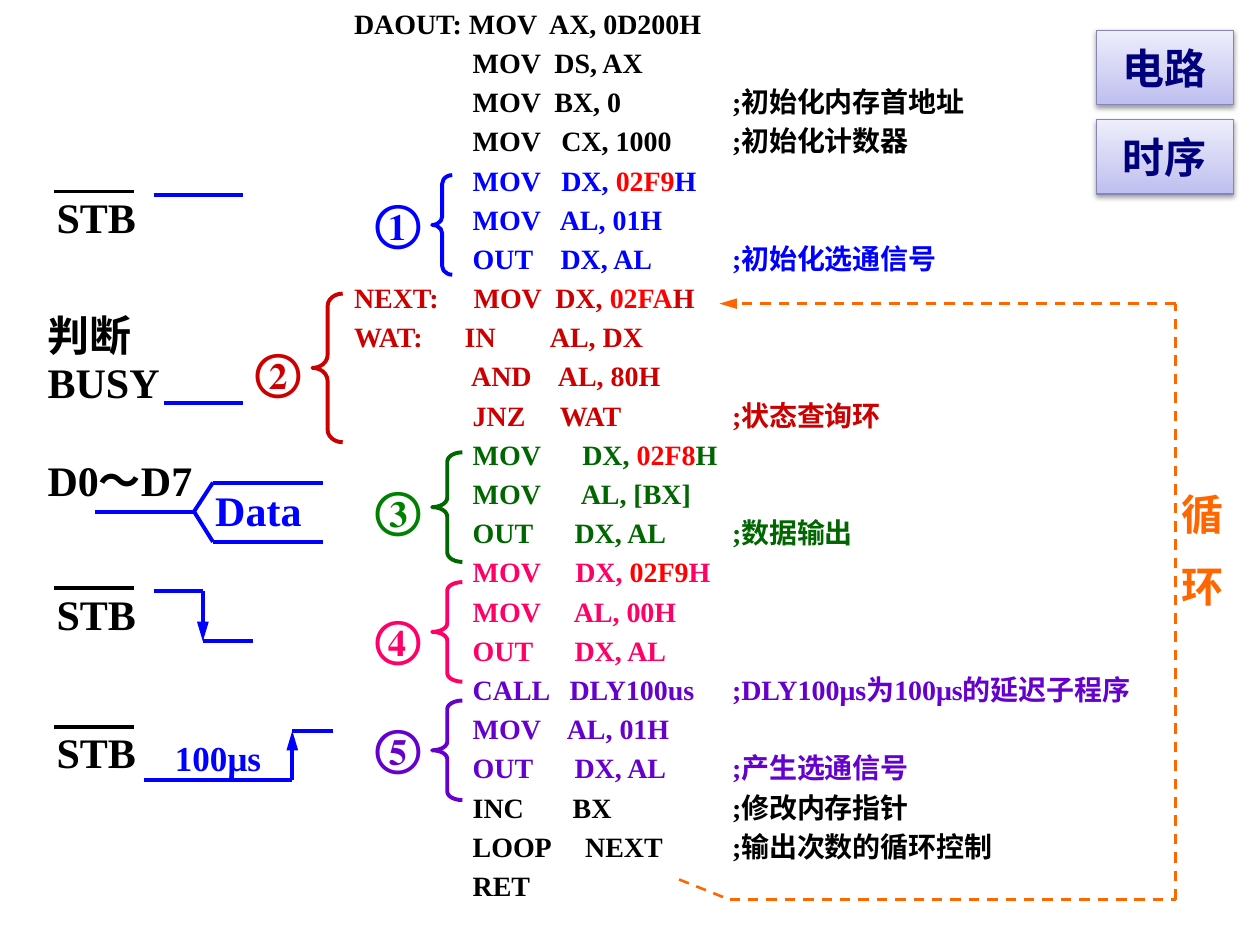
from lxml import etree
from pptx import Presentation
from pptx.dml.color import RGBColor
from pptx.enum.dml import MSO_LINE
from pptx.enum.shapes import MSO_CONNECTOR, MSO_SHAPE
from pptx.enum.text import MSO_ANCHOR, MSO_AUTO_SIZE, PP_ALIGN
from pptx.oxml.ns import qn
from pptx.util import Inches, Pt

LINE, DASH = MSO_CONNECTOR.STRAIGHT, MSO_LINE.DASH
BRACE, BUTTON = MSO_SHAPE.LEFT_BRACE, MSO_SHAPE.ACTION_BUTTON_CUSTOM
LEFT, MID = PP_ALIGN.LEFT, PP_ALIGN.CENTER
FONT = "Times New Roman"
PAD = " " * 17
INK = {
    "black": "000000", "blue": "0000FF", "red": "FF0000", "brick": "CC0000",
    "green": "006600", "moss": "008000", "pink": "FF0066", "plum": "6600CC",
    "orange": "FF6600", "navy": "00007D", "edge": "8686B6",
    "low": "BFBFF0", "high": "EDEDFB",
}
CODE = [
    ("black", ["DAOUT: MOV  AX, 0D200H", PAD + "MOV  DS, AX",
               PAD + "MOV  BX, 0\t;初始化内存首地址",
               PAD + "MOV   CX, 1000\t;初始化计数器"]),
    ("blue", [PAD + "MOV   DX, |02F9|H", PAD + "MOV   AL, 01H",
              PAD + "OUT    DX, AL\t;初始化选通信号"]),
    ("brick", ["NEXT:     MOV  DX, |02FA|H", "WAT:      IN        AL, DX",
               PAD + "AND    AL, 80H", PAD + "JNZ     WAT\t;状态查询环"]),
    ("green", [PAD + "MOV      DX, |02F8|H", PAD + "MOV      AL, [BX]",
               PAD + "OUT      DX, AL\t;数据输出"]),
    ("pink", [PAD + "MOV     DX, |02F9|H", PAD + "MOV     AL, 00H",
              PAD + "OUT      DX, AL"]),
    ("plum", [PAD + "CALL   DLY100us\t;DLY100μs为100μs的延迟子程序",
              PAD + "MOV    AL, 01H", PAD + "OUT      DX, AL\t;产生选通信号"]),
    ("black", [PAD + "INC       BX\t;修改内存指针",
               PAD + "LOOP     NEXT\t;输出次数的循环控制", PAD + "RET"]),
]
STEPS = [
    ("①", (3.43, 1.39, 0.16, 0.79), 0.42, 1.47, "blue", "blue"),
    ("②", (2.48, 2.33, 0.24, 1.18), 0.42, 2.65, "brick", "brick"),
    ("③", (3.43, 3.59, 0.24, 0.87), 0.31, 3.75, "green", "moss"),
    ("④", (3.43, 4.62, 0.24, 0.79), 0.28, 4.77, "pink", "pink"),
    ("⑤", (3.43, 5.56, 0.24, 0.79), 0.28, 5.64, "plum", "plum"),
]
STROBES = [
    (1.47, [(0.87, 0.08), (1.58, 0.08)], None),
    (4.62, [(0.87, 0.07), (1.26, 0.07), (1.26, 0.47), (1.66, 0.47)], 1),
    (5.72, [(0.79, 0.47), (1.97, 0.47), (1.97, 0.08), (2.29, 0.08)], 1),
]


def rgb(ink):
    """Return the named colour."""
    return RGBColor.from_string(INK[ink])


def style(para, size, ink=None, align=LEFT):
    """Set the bold serif face of one paragraph."""
    para.alignment = align
    font = para.font
    font.name, font.size, font.bold = FONT, Pt(size), True
    if ink:
        font.color.rgb = rgb(ink)


def label(slide, box, text, size, ink, align=LEFT):
    """Place a text box with one paragraph per line of text."""
    frame = slide.shapes.add_textbox(*map(Inches, box)).text_frame
    frame.word_wrap = True
    frame.text = text
    for row, para in enumerate(frame.paragraphs):
        style(para, size, ink, align)
        if row:
            para.space_before = Pt(size / 2)


def trace(slide, spot, points, ink="blue", width=2.25, dash=None, arrow=None):
    """Join points offset from a spot, with an arrowhead on one segment."""
    spots = [(Inches(spot[0] + x), Inches(spot[1] + y)) for x, y in points]
    for num, (start, end) in enumerate(zip(spots, spots[1:])):
        wire = slide.shapes.add_connector(LINE, *start, *end)
        wire.line.color.rgb = rgb(ink)
        wire.line.width = Pt(width)
        if dash:
            wire.line.dash_style = dash
        props = wire._element.spPr
        if num == arrow:
            etree.SubElement(props.find(qn("a:ln")), qn("a:tailEnd"),
                             type="triangle", len="lg")
        etree.SubElement(props, qn("a:effectLst"))


def listing(slide, box):
    """Fill the body placeholder with the coloured program."""
    body = slide.placeholders[1]
    body.left, body.top, body.width, body.height = map(Inches, box)
    frame = body.text_frame
    frame.auto_size = MSO_AUTO_SIZE.NONE
    frame.vertical_anchor = MSO_ANCHOR.TOP
    frame.margin_top = Inches(0.05)
    rows = [(ink, text) for ink, group in CODE for text in group]
    for row, (ink, text) in enumerate(rows):
        para = frame.add_paragraph() if row else frame.paragraphs[0]
        props = para._p.get_or_add_pPr()
        props.set("marL", "0")
        props.set("indent", "0")
        props.set("defTabSz", str(Inches(1)))
        etree.SubElement(props, qn("a:buNone"))
        tabs = etree.SubElement(props, qn("a:tabLst"))
        etree.SubElement(tabs, qn("a:tab"), pos=str(Inches(3)), algn="l")
        style(para, 16)
        para.space_before = Pt(3.2 if row else 0)
        for part, piece in enumerate(text.split("|")):
            run = para.add_run()
            run.text = piece
            run.font.color.rgb = rgb("red" if part % 2 else ink)


def step(slide, box, mark, bend, top, ink, tint):
    """Draw a brace with its circled number to the left."""
    brace = slide.shapes.add_shape(BRACE, *map(Inches, box))
    brace.shadow.inherit = False
    brace.adjustments[0], brace.adjustments[1] = bend, 0.5
    brace.fill.background()
    brace.line.color.rgb = rgb(ink)
    brace.line.width = Pt(2.25)
    label(slide, (box[0] - 0.55, top, 0.63, 0.5), mark, 28, tint)


def strobe(slide, spot, wave, arrow):
    """Draw an overlined strobe name and its waveform."""
    label(slide, (*spot, 1.02, 0.5), "STB", 24, "black")
    trace(slide, spot, [(0.08, 0.05), (0.71, 0.05)], "black")
    trace(slide, spot, wave, arrow=arrow)


def busy(slide, spot):
    """Draw the busy check and its low level."""
    x, y = spot
    label(slide, (x, y, 1.1, 0.5), "判断", 24, "black")
    label(slide, (x, y + 0.37, 1.53, 0.5), "BUSY", 24, "black")
    trace(slide, spot, [(1.02, 0.79), (1.65, 0.79)])


def bus(slide, spot):
    """Draw the data bus opening into valid data."""
    x, y = spot
    label(slide, (x, y, 1.53, 0.5), "D0～D7", 24, "black")
    trace(slide, spot, [(0.47, 0.5), (1.26, 0.5)])
    for rail in (0.27, 0.74):
        trace(slide, spot, [(1.26, 0.5), (1.41, rail), (2.28, rail)])
    label(slide, (x + 1.33, y + 0.24, 1.18, 0.5), "Data", 24, "blue")


def loop(slide, spot):
    """Draw the dashed way back from the loop to its start."""
    x, y = spot
    way = [(0, 4.57), (0.4, 4.73), (3.94, 4.73), (3.94, 0), (0.32, 0)]
    trace(slide, spot, way, "orange", 1.5, DASH, 3)
    label(slide, (x + 3.86, y + 1.42, 0.59, 1.11), "循\n环", 24, "orange", MID)


def button(slide, box, text):
    """Draw a shaded button."""
    key = slide.shapes.add_shape(BUTTON, *map(Inches, box))
    key.fill.gradient()
    key.fill.gradient_angle = 90
    for stop, ink in zip(key.fill.gradient_stops, ("low", "high")):
        stop.color.rgb = rgb(ink)
    key.line.color.rgb = rgb("edge")
    key.line.width = Pt(0.75)
    key.shadow.inherit = False
    glow = etree.SubElement(
        key._element.spPr.find(qn("a:effectLst")), qn("a:outerShdw"),
        blurRad=str(Pt(3.1)), dist=str(Pt(1.6)), dir="5400000", rotWithShape="0")
    tone = etree.SubElement(glow, qn("a:srgbClr"), val=INK["black"])
    etree.SubElement(tone, qn("a:alpha"), val="38000")
    frame = key.text_frame
    frame.word_wrap = False
    frame.vertical_anchor = MSO_ANCHOR.MIDDLE
    frame.text = text
    style(frame.paragraphs[0], 24, "navy", MID)


def main():
    """Build and save the slide."""
    deck = Presentation()
    deck.slide_width, deck.slide_height = Inches(10), Inches(7.5)
    slide = deck.slides.add_slide(deck.slide_layouts[1])
    title = slide.shapes.title._element
    title.getparent().remove(title)
    listing(slide, (2.71, 0, 6.86, 7.5))
    for mark, box, bend, top, ink, tint in STEPS:
        step(slide, box, mark, bend, top, ink, tint)
    for top, wave, arrow in STROBES:
        strobe(slide, (0.35, top), wave, arrow)
    label(slide, (1.14, 5.8, 1.18, 0.43), "100μs", 20, "blue", MID)
    busy(slide, (0.28, 2.41))
    bus(slide, (0.28, 3.56))
    loop(slide, (5.39, 2.41))
    for row, text in enumerate(("电路", "时序")):
        button(slide, (8.7, 0.24 + 0.71 * row, 1.09, 0.59), text)
    deck.save("out.pptx")


if __name__ == "__main__":
    main()
